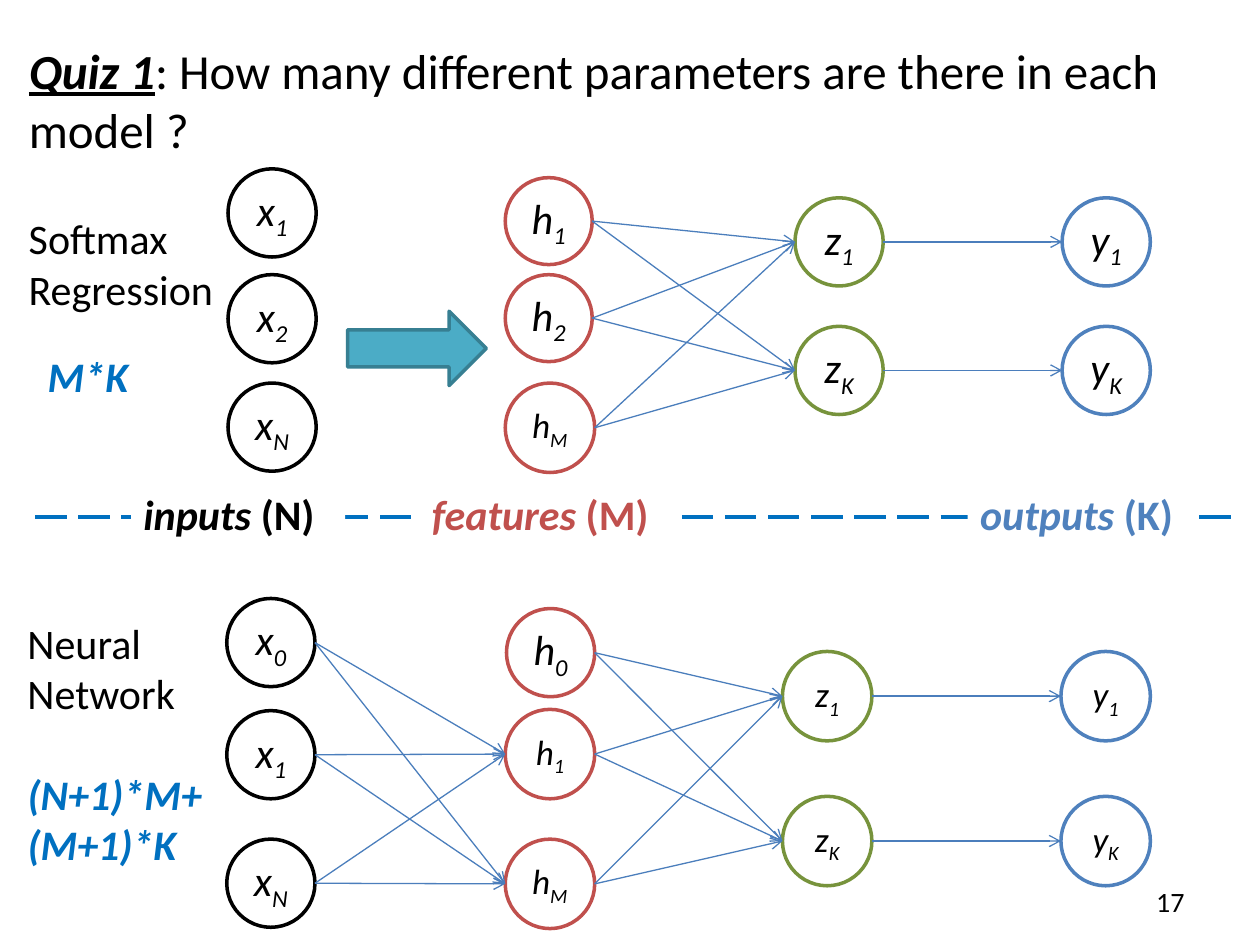
from pptx import Presentation
from pptx.dml.color import RGBColor
from pptx.enum.dml import MSO_LINE as Dash
from pptx.enum.shapes import MSO_CONNECTOR as Conn, MSO_SHAPE as Geo
from pptx.enum.text import MSO_ANCHOR as Anchor, MSO_AUTO_SIZE as Fit, PP_ALIGN as Align
from pptx.oxml.ns import qn
from pptx.util import Inches, Pt
from lxml import etree

FONT = "Calibri"
BLACK, WHITE = "000000", "FFFFFF"
RED, GREEN, BLUE = "C0504D", "77933C", "4F81BD"
EDGE, ANSWER = "4B7EBC", "0070C0"


def rgb(code):
    return RGBColor.from_string(code)


def style(run, size, color, marks=""):
    """Marks: b bold, i italic, u underlined."""
    font = run.font
    font.name, font.size = FONT, Pt(size)
    font.color.rgb = rgb(color)
    font.bold, font.italic, font.underline = (m in marks for m in "biu")


def shape(slide, geo, at, fill, line=None):
    item = slide.shapes.add_shape(geo, *map(Inches, at))
    item.shadow.inherit = False
    item.fill.solid()
    item.fill.fore_color.rgb = rgb(fill)
    if line:
        item.line.color.rgb = rgb(line)
        item.line.width = Pt(2)
    else:
        item.line.fill.background()
    return item


def line(slide, start, end, color, width):
    item = slide.shapes.add_connector(Conn.STRAIGHT, *map(Inches, (*start, *end)))
    item.line.color.rgb = rgb(color)
    item.line.width = Pt(width)
    etree.SubElement(item._element.spPr, qn("a:effectLst"))
    return item


def arrow(slide, start, end):
    item = line(slide, start, end, EDGE, 0.75)
    tail = etree.SubElement(item.line._get_or_add_ln(), qn("a:tailEnd"))
    tail.set("type", "arrow")


def node(slide, name, left, top, side, size, color):
    """Draw a circle with a subscripted name; return its left and right ends."""
    item = shape(slide, Geo.OVAL, (left, top, side, side), WHITE, color)
    frame = item.text_frame
    frame.word_wrap = False
    frame.vertical_anchor = Anchor.MIDDLE
    para = frame.paragraphs[0]
    para.alignment = Align.CENTER
    for part in name:
        run = para.add_run()
        run.text = part
        style(run, size, BLACK, "i")
    run.font._element.set("baseline", "-25000")
    mid = top + side / 2
    return (left, mid), (left + side, mid)


def layer(slide, letter, left, color, rows):
    """Each row is subscript, top, diameter and text size."""
    return [node(slide, letter + sub, left, top, side, size, color)
            for sub, top, side, size in rows]


def link(slide, sources, targets):
    for _, start in sources:
        for end, _ in targets:
            arrow(slide, start, end)


def pair(slide, sources, targets):
    for source, target in zip(sources, targets):
        link(slide, [source], [target])


def write(item, size, color, paras):
    """Each paragraph is a list of (text, marks)."""
    frame = item.text_frame
    frame.word_wrap = True
    frame.auto_size = Fit.SHAPE_TO_FIT_TEXT
    frame.vertical_anchor = Anchor.TOP
    for i, parts in enumerate(paras):
        para = frame.add_paragraph() if i else frame.paragraphs[0]
        para.alignment = Align.LEFT
        for text, marks in parts:
            run = para.add_run()
            run.text = text
            style(run, size, color, marks)


def box(slide, at, size, color, *paras):
    item = slide.shapes.add_textbox(*map(Inches, at))
    write(item, size, color, paras)
    return item


def label(slide, left, width, word, count, color):
    item = shape(slide, Geo.RECTANGLE, (left, 3.83, width, 0.5), WHITE)
    write(item, 24, color, [[(word + " ", "bi"), (count, "b")]])


def softmax(slide):
    layer(slide, "x", 1.81, BLACK,
          [(s, top, 0.7, 24) for s, top in (("1", 1.34), ("2", 2.18), ("N", 3.04))])
    feats = layer(slide, "h", 4.01, RED,
                  [("1", 1.41, 0.69, 24), ("2", 2.18, 0.69, 24), ("M", 3.04, 0.71, 20)])
    rows = [("1", 1.57, 0.7, 24), ("K", 2.59, 0.7, 24)]
    sums = layer(slide, "z", 6.31, GREEN, rows)
    outs = layer(slide, "y", 8.43, BLUE, rows)
    link(slide, feats, sums)
    pair(slide, sums, outs)
    shape(slide, Geo.RIGHT_ARROW, (2.76, 2.47, 1.1, 0.59), "4BACC6", "377F92")
    box(slide, (0.13, 1.64, 1.67, 0.91), 24, BLACK, [("Softmax", "")], [("Regression", "")])
    box(slide, (0.28, 2.73, 1.29, 0.5), 24, ANSWER, [("M*K", "bi")])


def network(slide):
    ins = layer(slide, "x", 1.8, BLACK,
                [(s, top, 0.7, 24) for s, top in (("0", 4.75), ("1", 5.64), ("N", 6.66))])
    bias = layer(slide, "h", 4.02, RED, [("0", 4.83, 0.7, 24)])
    feats = layer(slide, "h", 4.01, RED, [("1", 5.63, 0.71, 20), ("M", 6.66, 0.71, 20)])
    rows = [("1", 5.17, 0.71, 20), ("K", 6.32, 0.71, 20)]
    sums = layer(slide, "z", 6.21, GREEN, rows)
    outs = layer(slide, "y", 8.42, BLUE, rows)
    link(slide, ins, feats)
    link(slide, bias + feats, sums)
    pair(slide, sums, outs)
    box(slide, (0.12, 4.85, 1.44, 0.91), 24, BLACK, [("Neural", "")], [("Network", "")])
    box(slide, (0.12, 6.05, 1.68, 0.91), 24, ANSWER,
        [("(N+1)*M+", "bi")], [("(M+1)*K", "bi")])


def main():
    deck = Presentation()
    deck.slide_width, deck.slide_height = Inches(10), Inches(7.5)
    slide = deck.slides.add_slide(deck.slide_layouts[6])

    # Question
    box(slide, (0.13, 0.27, 9.69, 1.04), 28, BLACK,
        [("Quiz 1", "biu"),
         (": How many different parameters are there in each model ?", "")])

    # The two models
    softmax(slide)
    network(slide)

    # Divider with layer names
    rule = line(slide, (0.28, 4.1), (9.82, 4.1), ANSWER, 2.25)
    rule.line.dash_style = Dash.LONG_DASH
    label(slide, 1.04, 1.7, "inputs", "(N)", BLACK)
    label(slide, 3.33, 2.02, "features", "(M)", RED)
    label(slide, 7.68, 1.79, "outputs", "(K)", BLUE)

    # Slide number
    page = box(slide, (7.17, 6.95, 2.33, 0.4), 16, BLACK, [("17", "")])
    page.text_frame.auto_size = Fit.NONE
    page.text_frame.vertical_anchor = Anchor.MIDDLE
    page.text_frame.paragraphs[0].alignment = Align.RIGHT

    deck.save("out.pptx")


if __name__ == "__main__":
    main()
